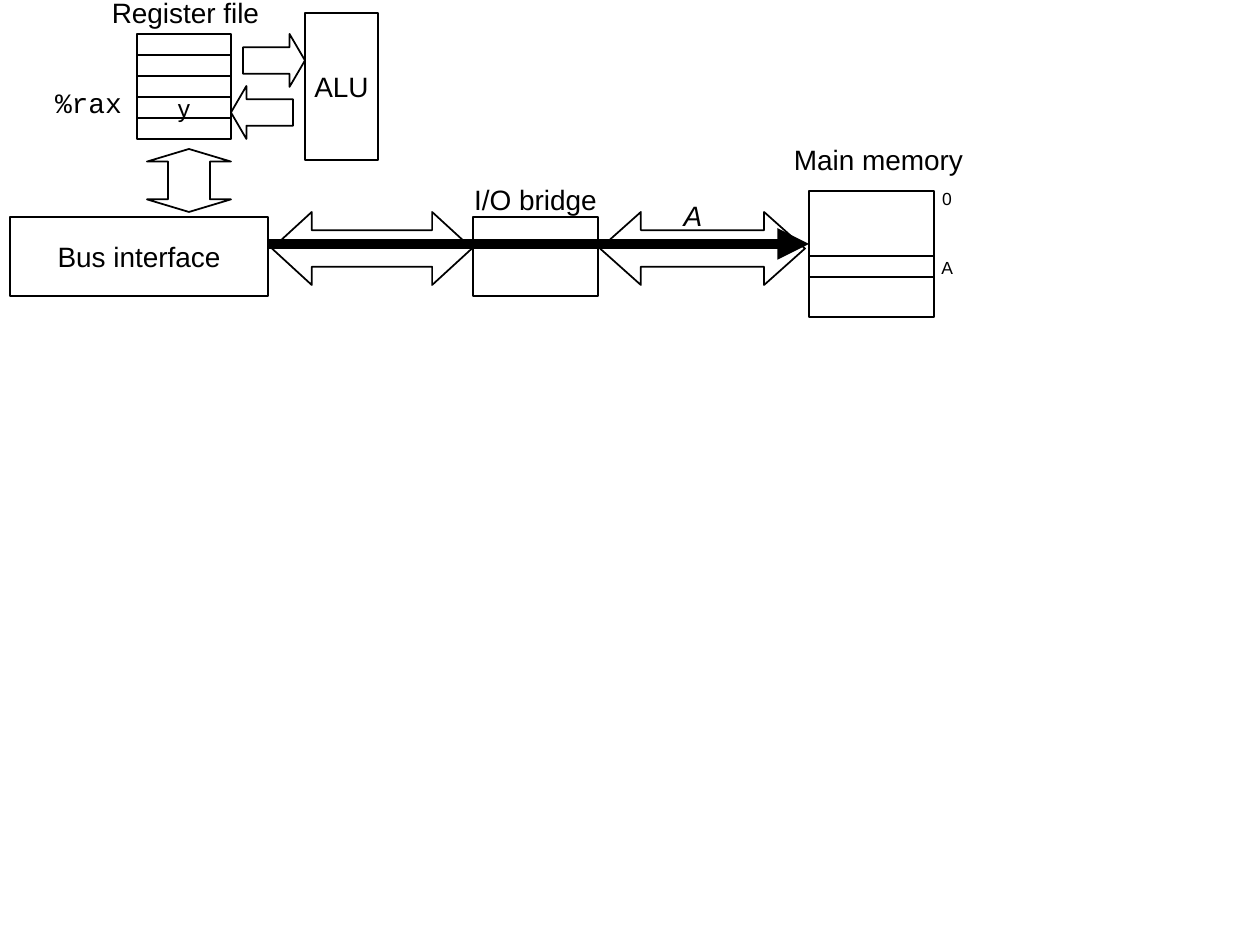
from lxml import etree
from pptx import Presentation
from pptx.dml.color import RGBColor
from pptx.enum.shapes import MSO_CONNECTOR, MSO_SHAPE
from pptx.enum.text import MSO_ANCHOR, MSO_AUTO_SIZE, PP_ALIGN
from pptx.oxml.ns import qn
from pptx.util import Emu, Inches, Pt

PX_PER_INCH = 126
BLACK = "000000"
WHITE = "FFFFFF"


def px(length):
    return Emu(round(length * 914400 / PX_PER_INCH))


def color(value):
    return RGBColor.from_string(value)


def write_text(shape, text, size, font="Arial", italic=None):
    frame = shape.text_frame
    frame.text = text
    frame.word_wrap = False
    frame.vertical_anchor = MSO_ANCHOR.MIDDLE
    paragraph = frame.paragraphs[0]
    paragraph.alignment = PP_ALIGN.CENTER
    run = paragraph.runs[0]
    run.font.name = font
    run.font.size = Pt(size)
    run.font.italic = italic
    run.font.color.rgb = color(BLACK)


def add_outline(slide, kind, left, top, width, height, fill=None):
    shape = slide.shapes.add_shape(kind, px(left), px(top), px(width), px(height))
    shape.shadow.inherit = False
    if fill:
        shape.fill.solid()
        shape.fill.fore_color.rgb = color(fill)
    else:
        shape.fill.background()
    shape.line.color.rgb = color(BLACK)
    shape.line.width = Pt(1)
    return shape


def add_arrow(slide, kind, left, top, width, height, head, shaft=0.5):
    arrow = add_outline(slide, kind, left, top, width, height)
    geometry = arrow._element.spPr.find(qn("a:prstGeom"))
    for guides in geometry.findall(qn("a:avLst")):
        geometry.remove(guides)
    guides = etree.SubElement(geometry, qn("a:avLst"))
    for name, value in (("adj1", shaft), ("adj2", head)):
        etree.SubElement(guides, qn("a:gd"), name=name, fmla=f"val {round(value * 100000)}")


def add_box(slide, left, top, width, height, text=None, size=16, fill=None):
    box = add_outline(slide, MSO_SHAPE.RECTANGLE, left, top, width, height, fill)
    if text:
        write_text(box, text, size)


def add_label(slide, text, left, top, width, height=47, size=16, font="Arial", italic=None):
    label = slide.shapes.add_textbox(px(left), px(top), px(width), px(height))
    write_text(label, text, size, font, italic)
    label.text_frame.auto_size = MSO_AUTO_SIZE.SHAPE_TO_FIT_TEXT


def add_io_bus(slide, left, top, width, height):
    memory_bus_width = 205
    add_arrow(slide, MSO_SHAPE.LEFT_RIGHT_ARROW, left + width - memory_bus_width, top - 5,
              memory_bus_width, 73, 0.56)
    add_box(slide, left + 201, top, 125, height)
    add_arrow(slide, MSO_SHAPE.LEFT_RIGHT_ARROW, left, top - 5, 200, 73, 0.545)
    add_label(slide, "I/O bridge", left + 189, top - 41, 149)


def add_processor(slide, left, top, width, height):
    register_width, pitch, rows = 94, 21, 5
    for row in range(rows):
        text = "y" if row == 3 else None
        add_box(slide, left, top + row * pitch, register_width, pitch, text, 14)
    add_arrow(slide, MSO_SHAPE.RIGHT_ARROW, left + 106, top, 62, 53, 0.292)
    add_arrow(slide, MSO_SHAPE.LEFT_ARROW, left + register_width, top + 52, 62, 53, 0.292)
    add_box(slide, left + width - 73, top - 21, 73, 147, "ALU")
    add_label(slide, "Register file", left - 38, top - 45, 173)
    add_label(slide, "%rax", left - 95, top + 45, 93, font="Courier New")
    add_arrow(slide, MSO_SHAPE.UP_DOWN_ARROW, left + 10, top + height - 63, 84, 63, 0.2)


def add_address_path(slide, left, top, width):
    path_line = slide.shapes.add_connector(
        MSO_CONNECTOR.STRAIGHT, px(left), px(top), px(left + width), px(top))
    path_line.line.color.rgb = color(BLACK)
    path_line.line.width = Pt(6)
    etree.SubElement(path_line.line._get_or_add_ln(), qn("a:tailEnd"), type="triangle")
    etree.SubElement(path_line._element.spPr, qn("a:effectLst"))
    add_label(slide, "A", left + 409, top - 52, 44, italic=True)


def add_memory(slide, left, top, width, height):
    add_box(slide, left, top, width, height)
    add_box(slide, left, top + 65, width, 21)
    add_label(slide, "Main memory", left - 28, top - 55, 195)
    for address, offset in (("0", -10), ("A", 59)):
        add_label(slide, address, left + width - 5, top + offset, 36, 34, size=10)


def main():
    presentation = Presentation()
    presentation.slide_width = Inches(10)
    presentation.slide_height = Inches(7.5)
    slide = presentation.slides.add_slide(presentation.slide_layouts[6])
    add_io_bus(slide, 272, 217, 533, 79)
    add_processor(slide, 137, 34, 241, 178)
    add_address_path(slide, 262, 244, 547)
    add_box(slide, 10, 217, 258, 79, "Bus interface", fill=WHITE)
    add_memory(slide, 809, 191, 125, 126)
    presentation.save("out.pptx")


if __name__ == "__main__":
    main()
